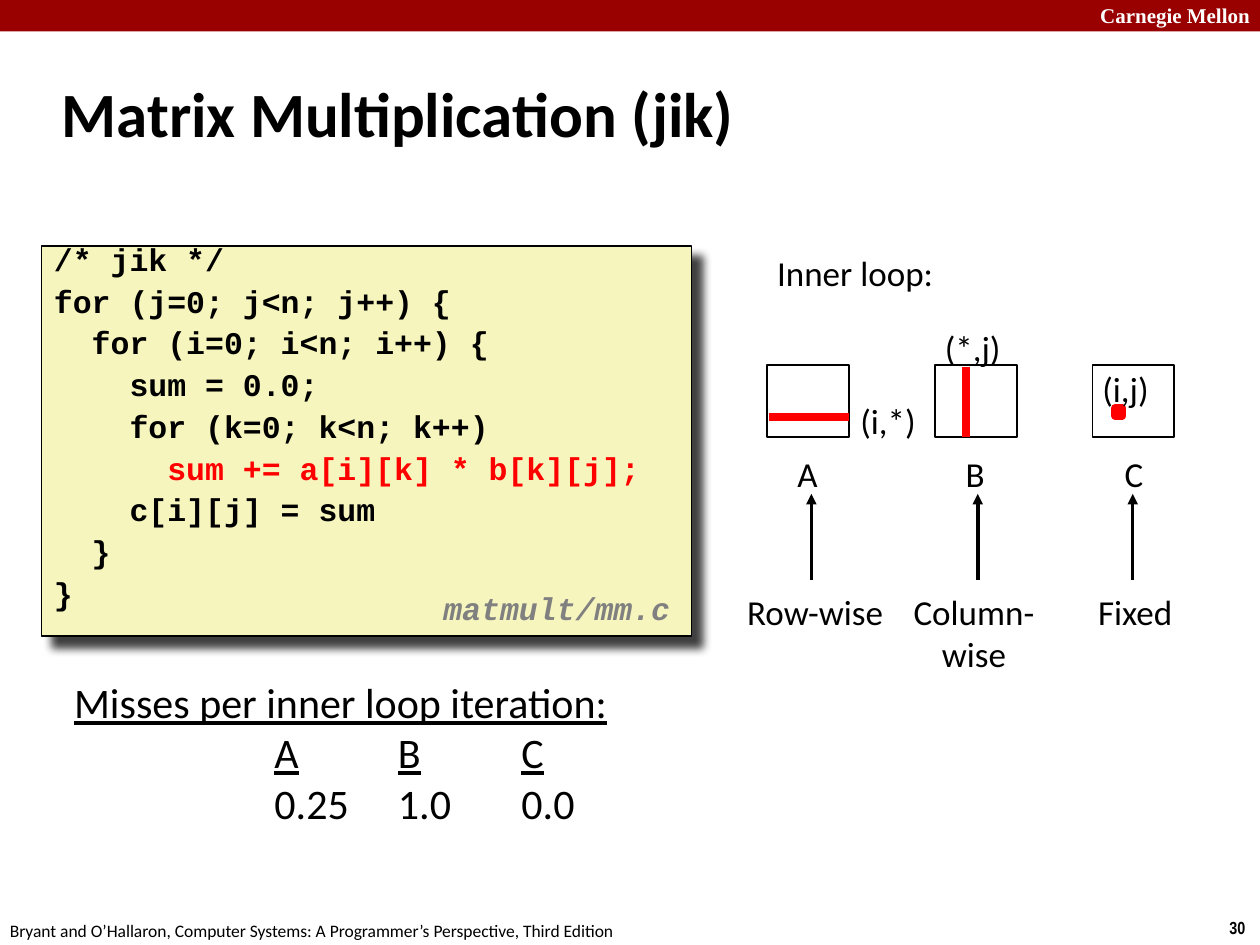
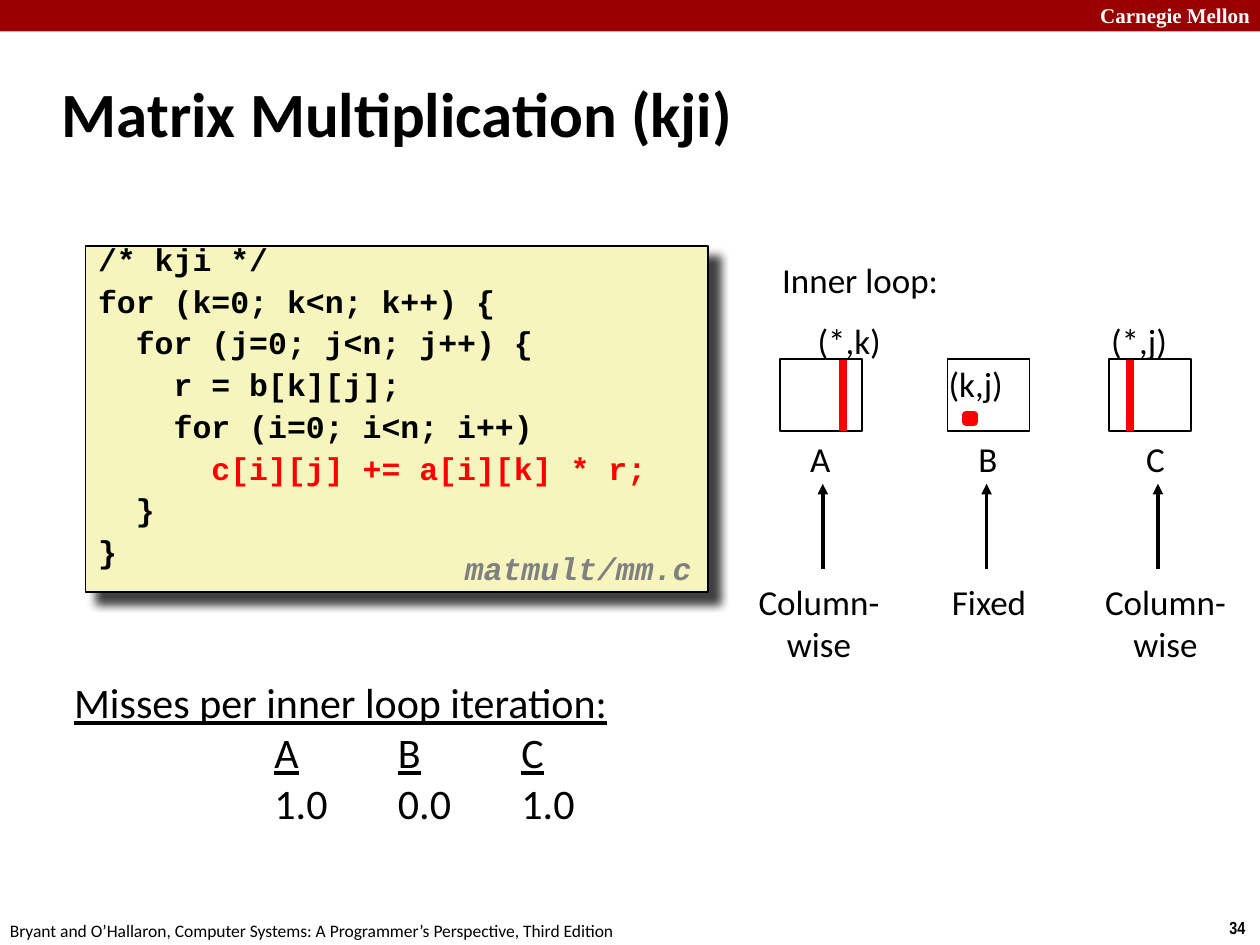
from dataclasses import dataclass

import lxml.etree
import pptx
import pptx.dml.color
import pptx.enum.shapes
import pptx.enum.text
import pptx.oxml
import pptx.oxml.ns
import pptx.util

PX = 9144
MATRIX_WIDTH = 65
MATRIX_HEIGHT = 57
ALIGN = pptx.enum.text.PP_ALIGN
ANCHOR = pptx.enum.text.MSO_ANCHOR


@dataclass(frozen=True)
class Theme:
    band: str = "990000"
    code_fill: str = "F6F5BD"
    accent: str = "FF0000"
    ink: str = "000000"
    paper: str = "FFFFFF"
    muted: str = "808080"
    body_font: str = "Calibri"
    code_font: str = "Courier New"
    band_font: str = "Times New Roman"
    number_font: str = "Arial Narrow"
    title_size: int = 36
    summary_size: int = 24
    label_size: int = 20
    code_size: int = 18
    band_size: int = 12
    footer_size: int = 10


THEME = Theme()


@dataclass
class Matrix:
    name: str
    left: int
    name_center: int
    arrow_x: int
    access: str
    access_center: int
    index: str
    index_left: int
    index_top: int
    mark: str
    mark_at: tuple


@dataclass
class LoopSlide:
    order: str
    number: int
    code: list
    code_box: tuple
    file_at: tuple
    inner_loop_at: tuple
    matrix_top: int
    name_top: int
    arrow_top: int
    access_top: int
    matrices: list
    misses: tuple


def emu(*lengths):
    return [pptx.util.Emu(length * PX) for length in lengths]


def rgb(color):
    return pptx.dml.color.RGBColor.from_string(color)


def append_xml(parent, tag, **attributes):
    element = lxml.etree.SubElement(parent, pptx.oxml.ns.qn(tag))
    for name, value in attributes.items():
        element.set(name, str(value))
    return element


def write_text(shape, lines, *, size=THEME.label_size, font=THEME.body_font,
               color=THEME.ink, bold=False, italic=False, align=ALIGN.LEFT,
               anchor=ANCHOR.TOP, wrap=True, line_spacing=None,
               space_before=None, tabs=()):
    frame = shape.text_frame
    frame.word_wrap = wrap
    frame.auto_size = pptx.enum.text.MSO_AUTO_SIZE.NONE
    frame.vertical_anchor = anchor
    frame.margin_left, frame.margin_right = emu(10, 10)
    frame.margin_top, frame.margin_bottom = emu(5, 5)
    for number, line in enumerate([lines] if isinstance(lines, str) else lines):
        paragraph = frame.add_paragraph() if number else frame.paragraphs[0]
        paragraph.alignment = align
        if line_spacing:
            paragraph.line_spacing = line_spacing
        if space_before and number:
            paragraph.space_before = pptx.util.Pt(space_before)
        if tabs:
            tab_list = append_xml(paragraph._p.get_or_add_pPr(), "a:tabLst")
            for tab in tabs:
                append_xml(tab_list, "a:tab", pos=tab * PX, algn="l")
        for text, changes in [(line, {})] if isinstance(line, str) else line:
            run = paragraph.add_run()
            run.text = text
            run.font.name = font
            run.font.size = pptx.util.Pt(size)
            run.font.bold = bold
            run.font.italic = italic
            run.font.underline = changes.get("underline", False)
            run.font.color.rgb = rgb(changes.get("color", color))


def add_text(slide, lines, left, top, width, height=43, **text_format):
    box = slide.shapes.add_textbox(*emu(left, top, width, height))
    write_text(box, lines, **text_format)


def add_centered(slide, lines, center, top, **text_format):
    add_text(slide, lines, center - 70, top, 140, align=ALIGN.CENTER, **text_format)


def add_box(slide, left, top, width, height, fill, line=None, line_width=1):
    box = slide.shapes.add_shape(
        pptx.enum.shapes.MSO_SHAPE.RECTANGLE, *emu(left, top, width, height))
    box.shadow.inherit = False
    box.fill.solid()
    box.fill.fore_color.rgb = rgb(fill)
    if line:
        box.line.color.rgb = rgb(line)
        box.line.width = pptx.util.Pt(line_width)
    else:
        box.line.fill.background()
    return box


def add_line(slide, start, end, color, width, arrow=False):
    line = slide.shapes.add_connector(
        pptx.enum.shapes.MSO_CONNECTOR.STRAIGHT, *emu(*start, *end))
    line.line.color.rgb = rgb(color)
    line.line.width = pptx.util.Pt(width)
    if arrow:
        append_xml(line.line._get_or_add_ln(), "a:tailEnd", type="triangle")
    append_xml(line._element.spPr, "a:effectLst")


def add_frame(slide, title, number):
    add_box(slide, 0, 0, 1000, 25, THEME.band)
    add_text(slide, "Carnegie Mellon", 802, -3, 200, 30, size=THEME.band_size,
             font=THEME.band_font, color=THEME.paper, bold=True, align=ALIGN.RIGHT)
    add_text(slide, str(number), 966, 723, 34, 27, size=THEME.footer_size,
             font=THEME.number_font, bold=True, wrap=False)
    add_text(slide, "Bryant and O’Hallaron, Computer Systems: "
             "A Programmer’s Perspective, Third Edition",
             -2, 725, 600, 27, size=THEME.footer_size)
    heading = slide.shapes.title
    heading.left, heading.top, heading.width, heading.height = emu(39, 48, 830, 83)
    write_text(heading, title, size=THEME.title_size, bold=True, anchor=ANCHOR.MIDDLE)


def add_code(slide, lines, box, file_at):
    panel = add_box(slide, *box, THEME.code_fill, THEME.ink)
    effects = panel._element.spPr.find(pptx.oxml.ns.qn("a:effectLst"))
    shadow = append_xml(effects, "a:outerShdw", blurRad=63500, dist=107950,
                        dir=2700000, algn="tl", rotWithShape=0)
    append_xml(append_xml(shadow, "a:srgbClr", val=THEME.ink), "a:alpha", val=75000)
    write_text(panel, lines, size=THEME.code_size, font=THEME.code_font, bold=True,
               line_spacing=0.65, space_before=9.8)
    add_text(slide, "matmult/mm.c", *file_at, 208, 39, size=THEME.code_size,
             font=THEME.code_font, color=THEME.muted, bold=True, italic=True,
             line_spacing=0.94)


def add_mark(slide, matrix, top):
    x, y = matrix.mark_at
    if matrix.mark == "row":
        add_line(slide, (matrix.left + 1, y), (matrix.left + MATRIX_WIDTH, y),
                 THEME.accent, 4.5)
    elif matrix.mark == "column":
        add_line(slide, (x, top + 1), (x, top + MATRIX_HEIGHT), THEME.accent, 4.5)
    else:
        add_box(slide, x, y, 6, 6, THEME.accent, THEME.accent, 4.5)


def add_matrix(slide, matrix, content):
    top = content.matrix_top
    add_box(slide, matrix.left, top, MATRIX_WIDTH, MATRIX_HEIGHT, THEME.paper, THEME.ink)
    add_mark(slide, matrix, top)
    add_text(slide, matrix.index, matrix.index_left, matrix.index_top, 90)
    add_centered(slide, matrix.name, matrix.name_center, content.name_top)
    add_line(slide, (matrix.arrow_x, content.arrow_top + 68),
             (matrix.arrow_x, content.arrow_top), THEME.ink, 2, arrow=True)
    add_centered(slide, matrix.access.split("\n"), matrix.access_center,
                 content.access_top)


def add_misses(slide, values):
    underlined = {"underline": True}
    names = [("\t\t", {}), ("A", underlined), ("\t", {}), ("B", underlined),
             ("\t", {}), ("C", underlined)]
    add_text(slide, [[("Misses per inner loop iteration:", underlined)], names,
                     "\t\t" + "\t".join(values)],
             49, 532, 596, 134, size=THEME.summary_size,
             tabs=[61 + 98 * column for column in range(4)])


def inner_statement(text):
    return [("      ", {}), (text, {"color": THEME.accent})]


def build_slide(presentation, content):
    slide = presentation.slides.add_slide(presentation.slide_layouts[5])
    add_frame(slide, f"Matrix Multiplication ({content.order})", content.number)
    add_code(slide, content.code, content.code_box, content.file_at)
    add_text(slide, "Inner loop:", *content.inner_loop_at, 160)
    for matrix in content.matrices:
        add_matrix(slide, matrix, content)
    add_misses(slide, content.misses)


JIK = LoopSlide(
    order="jik", number=30,
    code=["/* jik */",
          "for (j=0; j<n; j++) {",
          "  for (i=0; i<n; i++) {",
          "    sum = 0.0;",
          "    for (k=0; k<n; k++)",
          inner_statement("sum += a[i][k] * b[k][j];"),
          "    c[i][j] = sum",
          "  }",
          "}"],
    code_box=(33, 195, 516, 310), file_at=(342, 465), inner_loop_at=(607, 195),
    matrix_top=290, name_top=354, arrow_top=392, access_top=464,
    matrices=[
        Matrix("A", 609, 641, 644, "Row-wise", 647, "(i,*)", 673, 312, "row", (609, 331)),
        Matrix("B", 742, 774, 776, "Column-\nwise", 773, "(*,j)", 740, 254,
               "column", (767, 290)),
        Matrix("C", 867, 900, 899, "Fixed", 901, "(i,j)", 865, 287, "cell", (885, 324)),
    ],
    misses=("0.25", "1.0", "0.0"))

KJI = LoopSlide(
    order="kji", number=34,
    code=["/* kji */",
          "for (k=0; k<n; k++) {",
          "  for (j=0; j<n; j++) {",
          "    r = b[k][j];",
          "    for (i=0; i<n; i++)",
          inner_statement("c[i][j] += a[i][k] * r;"),
          "  }",
          "}"],
    code_box=(68, 195, 494, 275), file_at=(359, 433), inner_loop_at=(611, 200),
    matrix_top=285, name_top=342, arrow_top=384, access_top=456,
    matrices=[
        Matrix("A", 619, 651, 653, "Column-\nwise", 650, "(*,k)", 639, 249,
               "column", (669, 285)),
        Matrix("B", 752, 784, 783, "Fixed", 785, "(k,j)", 743, 283, "cell", (767, 329)),
        Matrix("C", 880, 917, 919, "Column-\nwise", 925, "(*,j)", 872, 249,
               "column", (897, 285)),
    ],
    misses=("1.0", "0.0", "1.0"))


def main():
    presentation = pptx.Presentation()
    presentation.slide_width, presentation.slide_height = emu(1000, 750)
    for content in (JIK, KJI):
        build_slide(presentation, content)
    presentation.save("out.pptx")


if __name__ == "__main__":
    main()
